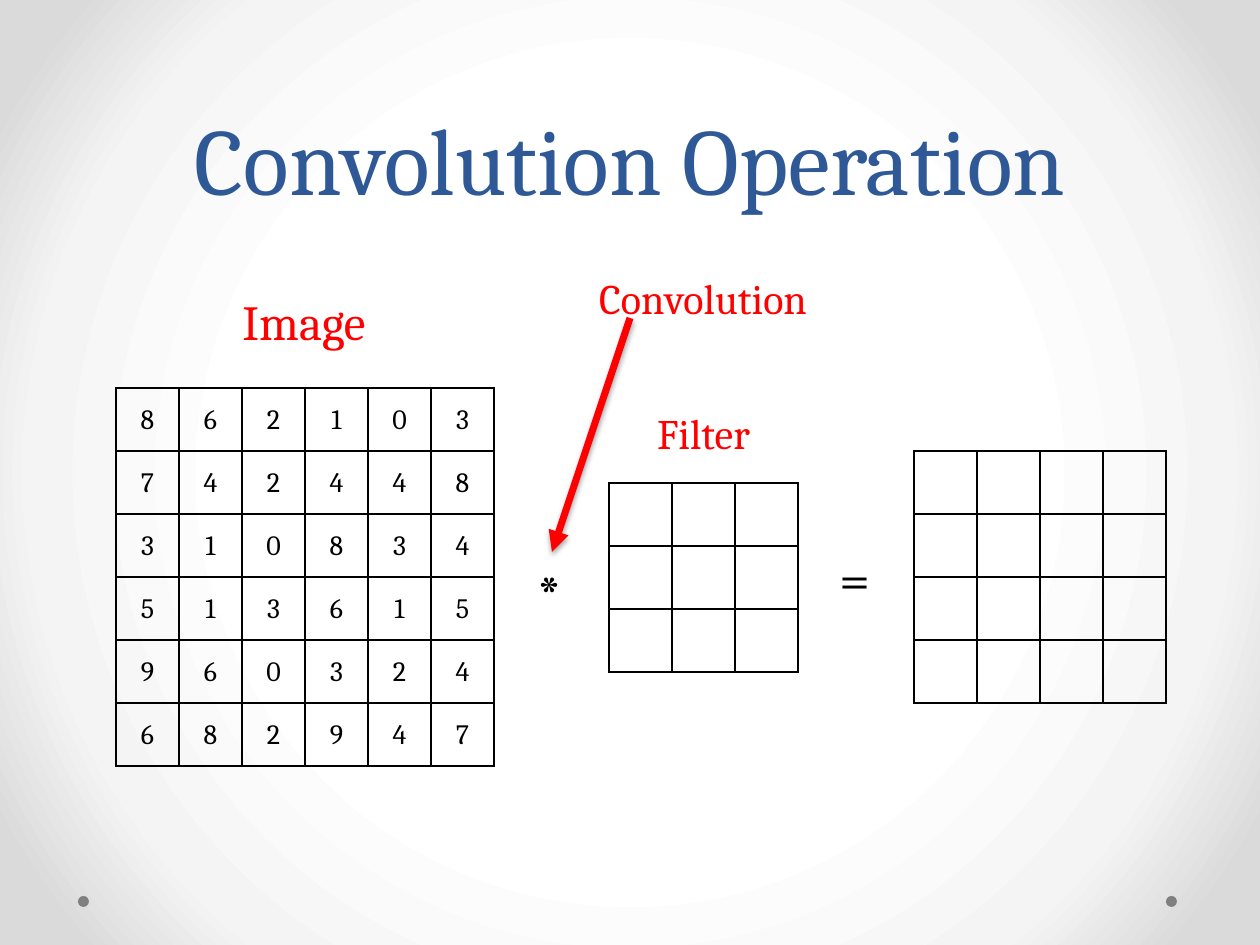
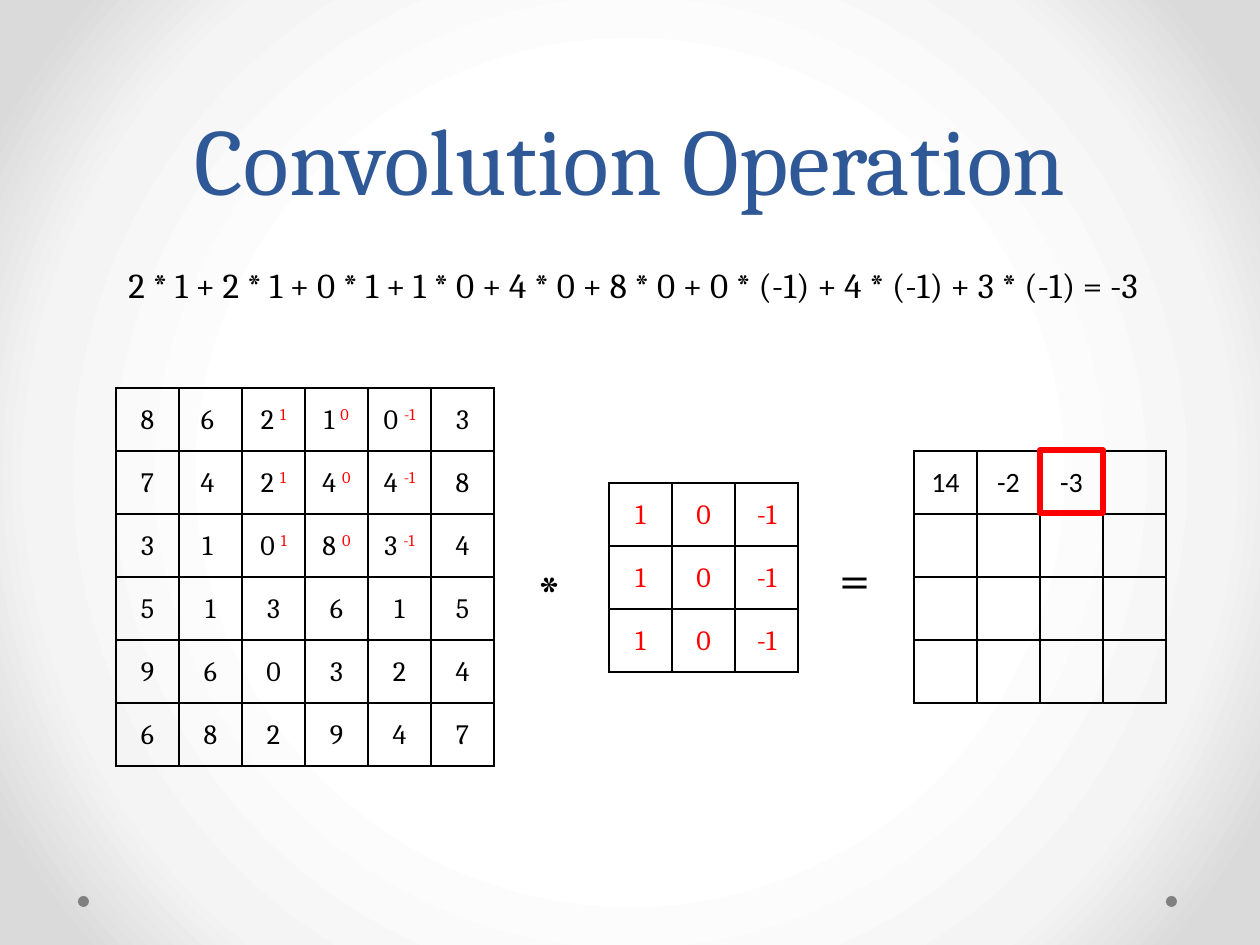
from lxml.etree import SubElement
from pptx import Presentation
from pptx.dml.color import RGBColor
from pptx.enum.shapes import MSO_CONNECTOR, MSO_SHAPE
from pptx.enum.text import MSO_ANCHOR, MSO_AUTO_SIZE, PP_ALIGN
from pptx.oxml import parse_xml
from pptx.oxml.ns import nsdecls, qn
from pptx.util import Emu, Pt

SCALE = 914400 / 126
CELL = 63
BLACK, RED, BLUE, GRAY = "000000", "FF0000", "2F5897", "808080"
GLOW = {50: "FFFFFF", 76: "F4F4F4", 92: "DADADA"}
PIXELS = ["862103", "742448", "310834", "513615", "960324", "682947"]
WEIGHTS = ["1", "0", "-1"]
WINDOW_ROWS = 3
WINDOW_SUFFIXES = dict(enumerate(["", *WEIGHTS], start=1))
FORMULA = ("2 * 1 + 2 * 1 + 0 * 1 + 1 * 0 + 4 * 0 + 8 * 0 + "
           "0 * (-1) + 4 * (-1) + 3 * (-1) = -3")
CELL_FORMAT = {
    "margin_left": Emu(9144), "margin_right": Emu(9144),
    "margin_top": Emu(9144), "margin_bottom": Emu(0),
    "vertical_anchor": MSO_ANCHOR.MIDDLE,
}


def px(length):
    return Emu(round(length * SCALE))


def rgb(value):
    return RGBColor.from_string(value)


def apply(target, values):
    for name, value in values.items():
        setattr(target, name, value)


def style_font(font, size, color, face="Cambria"):
    apply(font, {"size": Pt(size), "name": face})
    font.color.rgb = rgb(color)


def set_background(master):
    master.background.fill.gradient()
    gradient = master.element.find(".//" + qn("a:gradFill"))
    stops = "".join(
        f'<a:gs pos="{position * 1000}"><a:srgbClr val="{color}"/></a:gs>'
        for position, color in GLOW.items())
    gradient.getparent().replace(gradient, parse_xml(
        f'<a:gradFill {nsdecls("a")} rotWithShape="1"><a:gsLst>{stops}</a:gsLst>'
        '<a:path path="circle"><a:fillToRect l="50000" t="50000" r="50000" b="50000"/>'
        '</a:path></a:gradFill>'))


def add_dot(slide, left):
    dot = slide.shapes.add_shape(MSO_SHAPE.OVAL, px(left), px(896), px(11), px(11))
    dot.shadow.inherit = False
    dot.fill.solid()
    dot.fill.fore_color.rgb = rgb(GRAY)
    dot.line.fill.background()


def add_label(slide, text, box, size, color=BLACK, align=PP_ALIGN.LEFT, wrap=True):
    label = slide.shapes.add_textbox(*map(px, box))
    apply(label.text_frame, {"word_wrap": wrap, "text": text,
                             "auto_size": MSO_AUTO_SIZE.SHAPE_TO_FIT_TEXT})
    paragraph = label.text_frame.paragraphs[0]
    paragraph.alignment = align
    style_font(paragraph.runs[0].font, size, color)


def add_borders(cell):
    properties = cell._tc.get_or_add_tcPr()
    for index, side in enumerate(("lnL", "lnR", "lnT", "lnB")):
        properties.insert(index, parse_xml(
            f'<a:{side} {nsdecls("a")} w="12700"><a:solidFill>'
            f'<a:srgbClr val="{BLACK}"/></a:solidFill></a:{side}>'))


def fill_cell(cell, value, suffix, color, face):
    apply(cell, CELL_FORMAT)
    paragraph = cell.text_frame.paragraphs[0]
    paragraph.alignment = PP_ALIGN.CENTER
    paragraph.font.size = Pt(16)
    if value:
        number = paragraph.add_run()
        number.text = value
        style_font(number.font, 16, color, face)
    if suffix:
        weight = paragraph.add_run()
        weight.text = suffix
        style_font(weight.font, 16, RED, face)
        weight._r.get_or_add_rPr().set("baseline", "30000")


def add_matrix(slide, left, top, values, suffixes=None, color=BLACK, face="Cambria"):
    count = len(values)
    side = px(CELL * count)
    matrix = slide.shapes.add_table(count, count, px(left), px(top), side, side).table
    apply(matrix, {"first_row": False, "horz_banding": False})
    for line in (*matrix.columns, *matrix.rows):
        apply(line, {"width" if line in tuple(matrix.columns) else "height": px(CELL)})
    for row, numbers in enumerate(values):
        for column, value in enumerate(numbers):
            cell = matrix.cell(row, column)
            suffix = None
            if suffixes and row < WINDOW_ROWS:
                suffix = suffixes.get(column)
            if suffix is not None:
                value += " "
            fill_cell(cell, value, suffix, color, face)
            cell.fill.background()
            add_borders(cell)


def add_arrow(slide, start, end):
    arrow = slide.shapes.add_connector(
        MSO_CONNECTOR.STRAIGHT, *map(px, (*start, *end)))
    arrow.line.width = Pt(4)
    arrow.line.color.rgb = rgb(RED)
    SubElement(arrow.line._get_or_add_ln(), qn("a:tailEnd"), type="triangle")
    arrow._element.spPr.append(parse_xml(
        f'<a:effectLst {nsdecls("a")}><a:outerShdw blurRad="40000" dist="23000" '
        f'dir="5400000" rotWithShape="0"><a:srgbClr val="{BLACK}">'
        '<a:alpha val="35000"/></a:srgbClr></a:outerShdw></a:effectLst>'))


def add_highlight(slide, left, top):
    highlight = slide.shapes.add_shape(
        MSO_SHAPE.RECTANGLE, px(left), px(top), px(CELL), px(CELL))
    highlight.shadow.inherit = False
    highlight.fill.background()
    highlight.line.width = Pt(3)
    highlight.line.color.rgb = rgb(RED)


def add_title(slide, text):
    title = slide.shapes.title
    apply(title, {"left": px(63), "top": px(0), "width": px(1134), "height": px(221)})
    apply(title.text_frame, {"text": text, "word_wrap": True,
                             "auto_size": MSO_AUTO_SIZE.NONE,
                             "vertical_anchor": MSO_ANCHOR.BOTTOM})
    paragraph = title.text_frame.paragraphs[0]
    apply(paragraph, {"alignment": PP_ALIGN.CENTER, "line_spacing": Pt(58)})
    style_font(paragraph.runs[0].font, 54, BLUE)


def add_convolution_slide(deck, weights, result, suffixes=None):
    slide = deck.slides.add_slide(deck.slide_layouts[5])
    for left in (1166, 78):
        add_dot(slide, left)
    add_title(slide, "Convolution Operation")
    add_matrix(slide, 116, 388, PIXELS, suffixes)
    add_matrix(slide, 609, 483, weights, color=RED)
    add_matrix(slide, 914, 451, result, face="Calibri")
    add_label(slide, "*", (525, 552, 53, 81), 32)
    add_label(slide, "=", (827, 537, 53, 81), 32)
    return slide


def main():
    deck = Presentation()
    apply(deck, {"slide_width": px(1260), "slide_height": px(945)})
    set_background(deck.slide_master)

    setup = add_convolution_slide(deck, [[""] * 3] * 3, [[""] * 4] * 4)
    for text, box, size, wrap in (
            ("Image", (199, 285, 210, 72), 28, True),
            ("Filter", (641, 401, 125, 63), 24, False),
            ("Convolution", (572, 266, 262, 63), 24, False)):
        add_label(setup, text, box, size, RED, PP_ALIGN.CENTER, wrap)
    add_arrow(setup, (630, 318), (552, 552))

    third_step = add_convolution_slide(
        deck, [WEIGHTS] * 3, [["14", "-2", "-3", ""]] + [[""] * 4] * 3, WINDOW_SUFFIXES)
    add_label(third_step, FORMULA, (116, 257, 1081, 55), 20)
    add_highlight(third_step, 1040, 450)

    deck.save("out.pptx")


if __name__ == "__main__":
    main()
